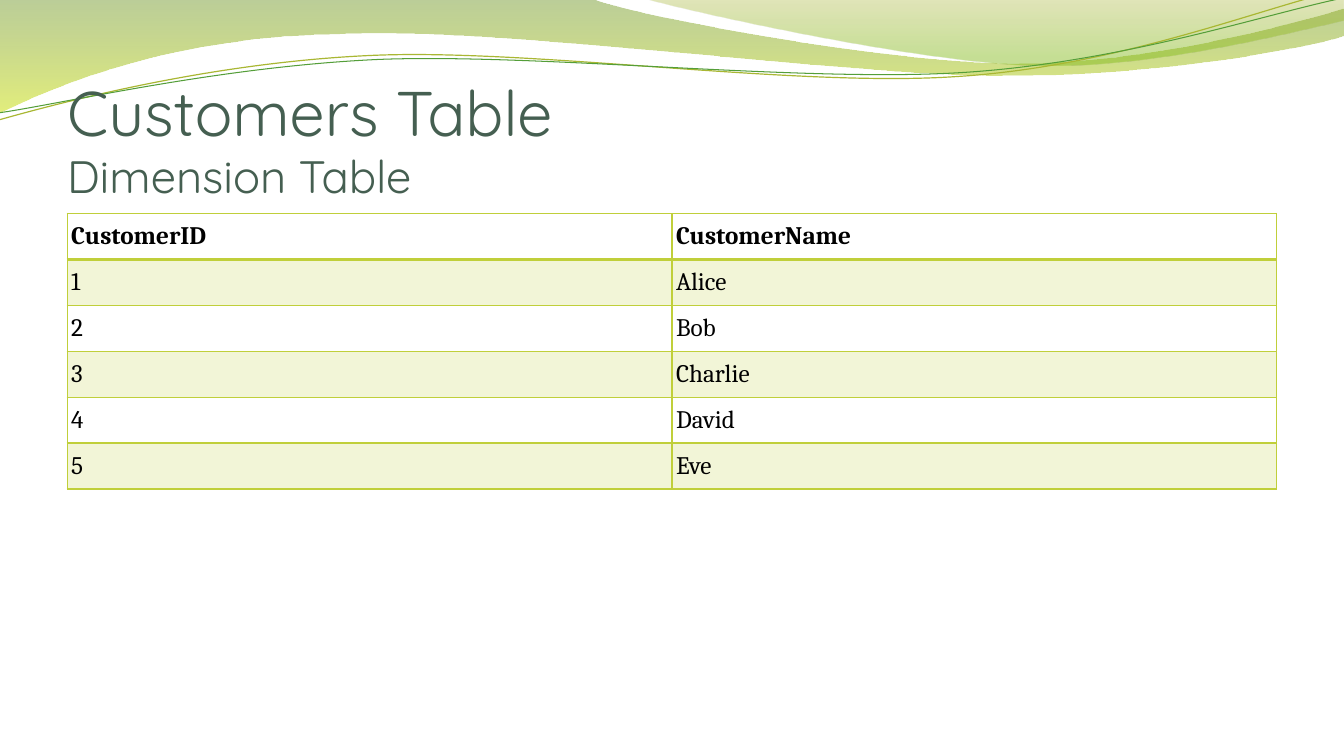
"""Build the Customers Table slide: green waves, a title and a striped table."""
from math import cos, radians, sin
from lxml.etree import SubElement
from pptx import Presentation
from pptx.dml.color import RGBColor
from pptx.enum.text import MSO_ANCHOR
from pptx.oxml import parse_xml
from pptx.oxml.ns import nsdecls, qn
from pptx.util import Pt

LIME = RGBColor(0xC0, 0xCF, 0x3A)
SLATE = RGBColor(0x45, 0x5F, 0x51)
BLACK = RGBColor(0, 0, 0)
MOSS = RGBColor(0x69, 0x92, 0x1C)
LEMON = RGBColor(0xCC, 0xE1, 0x0F)
OLIVE = RGBColor(0x9B, 0xAA, 0x1A)
GRASS = RGBColor(0x81, 0xBA, 0x16)
STRAW = RGBColor(0xA9, 0xB7, 0x33)
GREEN = RGBColor(0x54, 0x9E, 0x39)
INCH = 72
TILT = 2.7

deck = Presentation()
deck.slide_width, deck.slide_height = Pt(960), Pt(540)
slide = deck.slides.add_slide(deck.slide_layouts[6])
shapes = slide.shapes


def write(para, text, font, size, color, bold=False):
    run = para.add_run()
    run.text = text
    run.font.name = font
    run.font.size = Pt(size)
    run.font.color.rgb = color
    run.font.bold = bold


def trace(start, parts, close):
    dots = [start]
    for part in parts:
        dots += zip(part[::2], part[1::2])
    spots = [(Pt(x * INCH), Pt(y * INCH)) for x, y in dots]
    pen = shapes.build_freeform(*spots[0], scale=1.0)
    pen.add_line_segments(spots[1:], close=close)
    wave = pen.convert_to_shape()
    wave.shadow.inherit = False
    lines = wave._element.iter(qn("a:lnTo"))
    lines = iter(list(lines))
    for part in parts:
        first = next(lines)
        if len(part) == 6:
            first.tag = qn("a:cubicBezTo")
            for line in (next(lines), next(lines)):
                first.append(line[0])
                line.getparent().remove(line)
    return wave


bands = [
    ((0, 0),
     [(5.87, -0.01), (6.34, 0.17, 8.84, 0.63, 10.11, 0.63),
      (11.37, 0.63, 12.77, 0.26, 13.33, 0.09), (13.34, 0.36),
      (13.11, 0.44, 11.59, 0.76, 9.94, 0.75),
      (8.29, 0.75, 5.09, 0.28, 3.43, 0.34),
      (1.72, 0.36, 0.61, 0.83, -0.02, 1.13), (0, 0)],
     [(0, MOSS, 45), (1, LEMON, 55)]),
    ((6.38, -0.01),
     [(6.79, 0.11, 9.09, 0.62, 10.25, 0.65),
      (11.4, 0.69, 12.82, 0.32, 13.33, 0.21), (13.33, 0), (6.38, -0.01)],
     [(0, OLIVE, 30), (0.8, GRASS, 45)]),
]
for start, parts, stops in bands:
    band = trace(start, parts, True)
    band.line.fill.background()
    band.fill.gradient()
    band.fill.gradient_angle = 270
    for stop, (place, color, alpha) in zip(band.fill.gradient_stops, stops):
        stop.position = place
        stop.color.rgb = color
    tints = band._element.spPr.iter(qn("a:srgbClr"))
    for tint, (place, color, alpha) in zip(tints, stops):
        SubElement(tint, qn("a:alpha"), val=str(alpha * 1000))

threads = [
    ([(-0.01, 1.19), (0.63, 1.01, 2.1, 0.62, 3.69, 0.55),
      (5.27, 0.48, 7.89, 0.87, 9.49, 0.76),
      (11.1, 0.66, 12.51, 0.08, 13.3, -0.1)], (6.65, 0.57), STRAW, 0.85),
    ([(-0.01, 1.12), (0.62, 1.03, 2.18, 0.66, 3.77, 0.59),
      (5.37, 0.53, 7.96, 0.82, 9.55, 0.72),
      (11.14, 0.62, 12.55, 0.14, 13.33, -0.02)], (6.67, 0.59), GREEN, 0.75),
]
co, si = cos(radians(TILT)), sin(radians(TILT))
for parts, (mx, my), color, width in threads:
    level = []
    for part in parts:
        flat = []
        for x, y in zip(part[::2], part[1::2]):
            dx, dy = x - mx, y - my
            flat += [mx + dx * co - dy * si, my + dx * si + dy * co]
        level.append(flat)
    thread = trace(level[0], level[1:], False)
    thread.rotation = 360 - TILT
    thread.fill.background()
    thread.line.color.rgb = color
    thread.line.width = Pt(width)

frame = shapes.add_textbox(Pt(48), Pt(56), Pt(864), Pt(90)).text_frame
frame.word_wrap = True
frame.vertical_anchor = MSO_ANCHOR.BOTTOM
frame.margin_left = frame.margin_right = frame.margin_bottom = 0
title = frame.paragraphs[0]
title.line_spacing = 0.98
write(title, "Customers Table", font="Quicksand", size=45, color=SLATE)
title.add_line_break()
write(title, "Dimension Table", font="Quicksand", size=32.4, color=SLATE)

rows = [("CustomerID", "CustomerName"), ("1", "Alice"), ("2", "Bob"),
        ("3", "Charlie"), ("4", "David"), ("5", "Eve")]
table = shapes.add_table(len(rows), 2, Pt(48), Pt(152.5), Pt(864),
                         Pt(29.5 * len(rows))).table
table.horz_banding = False
for r, row in enumerate(rows):
    for c, text in enumerate(row):
        cell = table.cell(r, c)
        cell.vertical_anchor = MSO_ANCHOR.MIDDLE
        cell.margin_left = cell.margin_right = Pt(2.9)
        cell.margin_top = cell.margin_bottom = Pt(5.6)
        write(cell.text_frame.paragraphs[0], text, font="Cambria", size=18,
              color=BLACK, bold=r == 0)
        props = cell._tc.get_or_add_tcPr()
        if r % 2:
            cell.fill.solid()
            cell.fill.fore_color.rgb = LIME
            tint = next(props.iter(qn("a:srgbClr")))
            SubElement(tint, qn("a:alpha"), val="20000")
        else:
            cell.fill.background()
        for i, side in enumerate("LRTB"):
            heavy = (r, side) in ((0, "B"), (1, "T"))
            props.insert(i, parse_xml(
                f'<a:ln{side} {nsdecls("a")} w="{Pt(2 if heavy else 1)}">'
                f'<a:solidFill><a:srgbClr val="{LIME}"/></a:solidFill>'
                f'</a:ln{side}>'))

deck.save("out.pptx")
